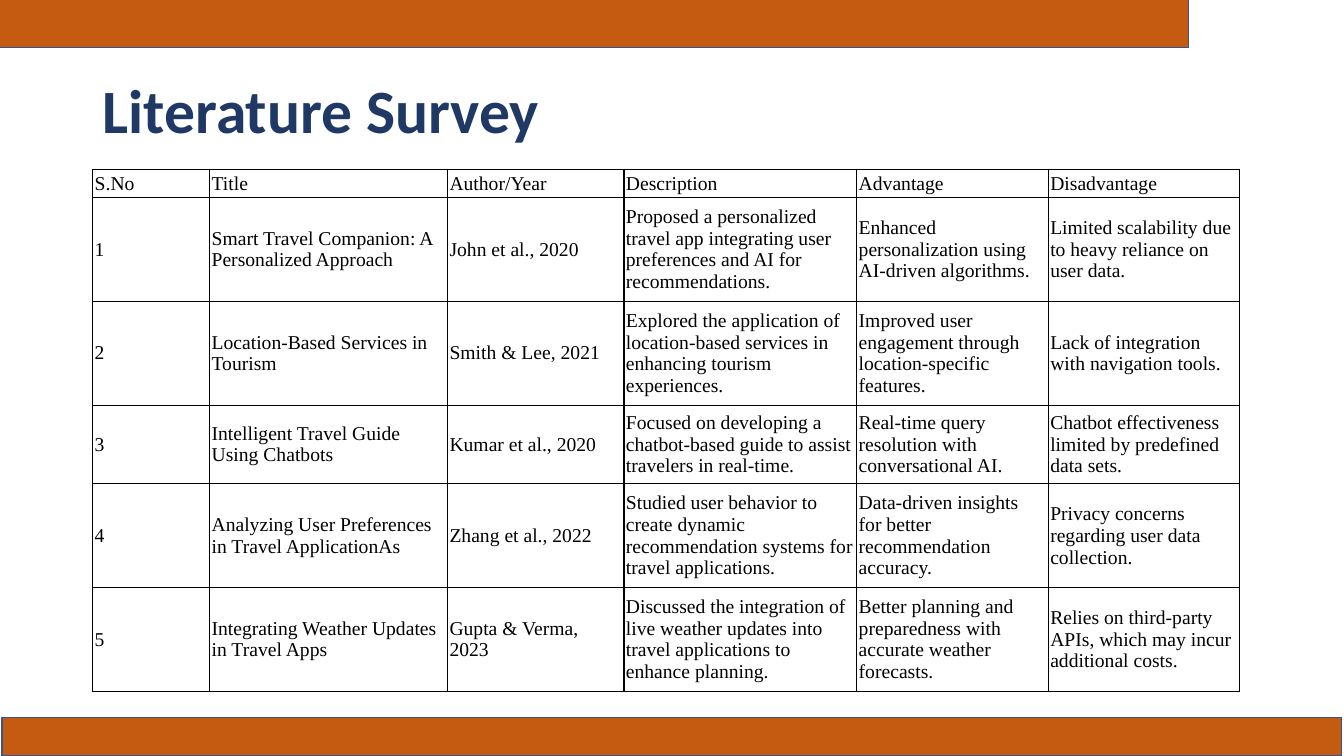
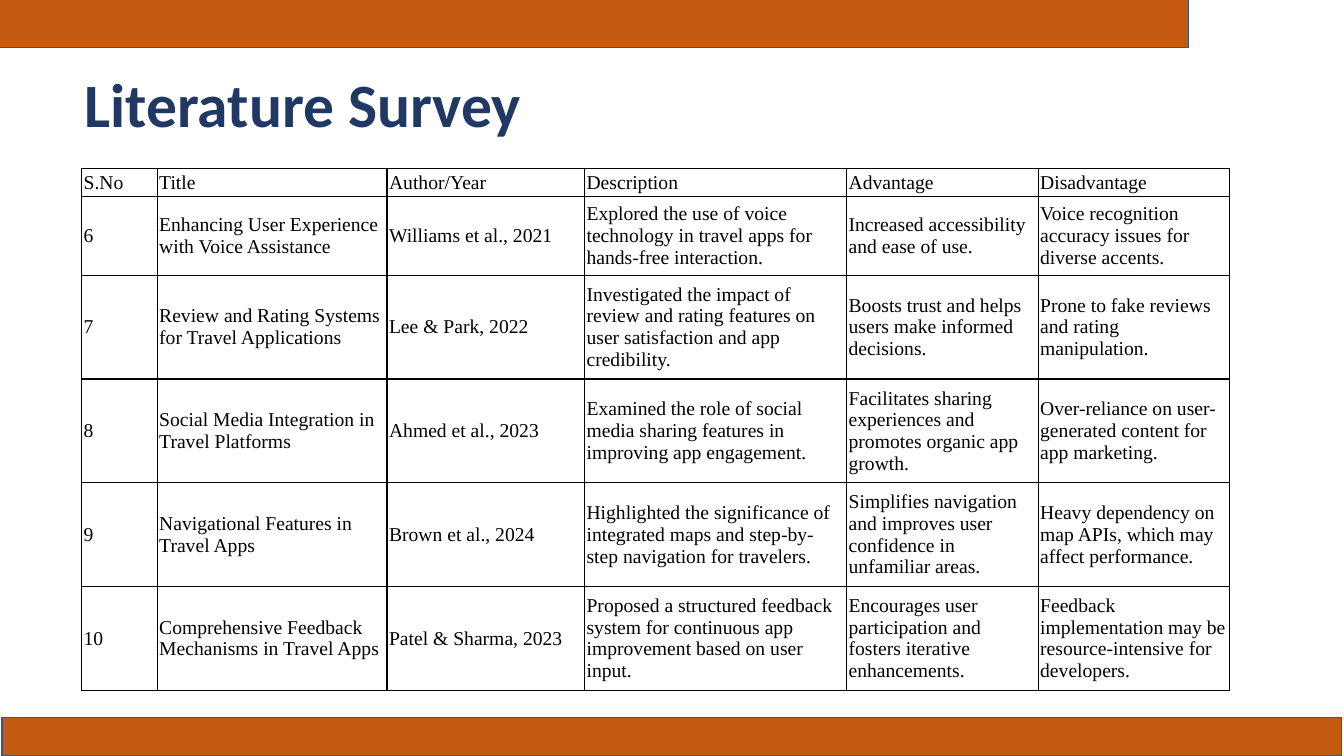
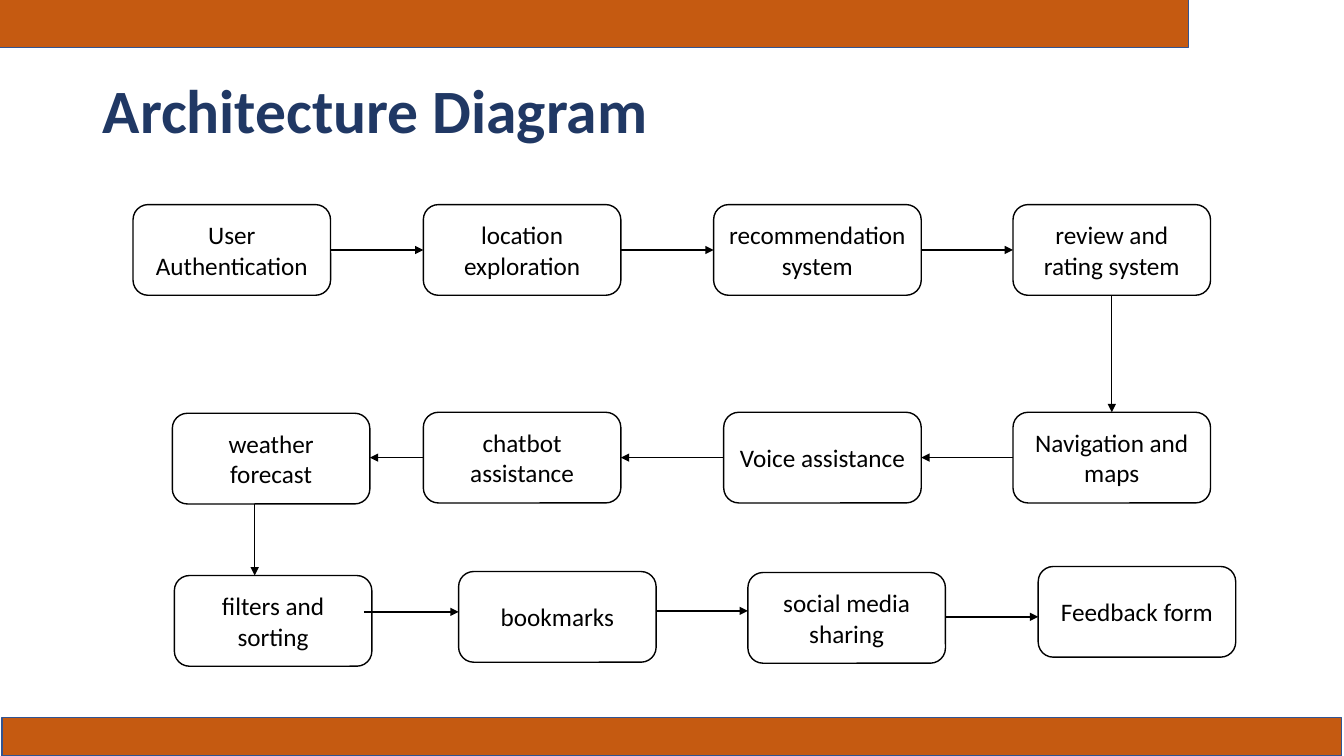
from dataclasses import dataclass

import lxml.etree
import pptx
import pptx.dml.color
import pptx.enum.shapes
import pptx.enum.text
import pptx.oxml
import pptx.oxml.ns
import pptx.util

RGBColor = pptx.dml.color.RGBColor
Pt = pptx.util.Pt
SHAPE = pptx.enum.shapes.MSO_SHAPE
ALIGN = pptx.enum.text.PP_ALIGN
MIDDLE = pptx.enum.text.MSO_ANCHOR.MIDDLE
qn = pptx.oxml.ns.qn

ORANGE = RGBColor(0xC5, 0x5A, 0x11)
BLUE = RGBColor(0x32, 0x54, 0x91)
NAVY = RGBColor(0x20, 0x38, 0x64)
BLACK = RGBColor(0, 0, 0)
WHITE = RGBColor(255, 255, 255)

COLS, ROWS = 40, 22.5
WIDE = pptx.util.Inches(COLS / 3)
HIGH = pptx.util.Inches(ROWS / 3)
SANS, SERIF = "Calibri", "Times New Roman"


def cell(count: float) -> int:
    return round(count * WIDE / COLS)


@dataclass(frozen=True)
class Area:
    left: float
    top: float
    width: float
    height: float

    def place(self) -> tuple[int, ...]:
        return tuple(map(cell, (self.left, self.top, self.width, self.height)))


@dataclass(frozen=True)
class Box:
    text: str
    left: float
    top: float
    width: float = 5.88
    height: float = 2.7

    @property
    def right(self) -> float:
        return self.left + self.width

    @property
    def base(self) -> float:
        return self.top + self.height


@dataclass(frozen=True)
class Link:
    start: int
    level: float
    inset: float = 0


@dataclass(frozen=True)
class Drop:
    start: int
    across: float


@dataclass(frozen=True)
class Survey:
    title: Area
    left: float
    top: float
    widths: tuple[float, ...]
    heights: tuple[float, ...]
    lines: tuple[tuple[str, ...], ...]


TITLE = Area(2.76, 1.2, 34.5, 4.35)
BANDS = (Area(-0.03, -0.03, 35.4, 1.44), Area(0.06, 21.36, 39.87, 1.14))
HEAD = ("S.No", "Title", "Author/Year", "Description", "Advantage", "Disadvantage")
THIN, MID, TALL = 0.84, 2.34, 3.09

SURVEYS = (
    Survey(
        TITLE, 2.76, 5.04,
        (3.48, 7.08, 5.25, 6.93, 5.7, 5.7),
        (THIN, TALL, TALL, MID, TALL, TALL),
        (
            ("1", "Smart Travel Companion: A Personalized Approach", "John et al., 2020",
             "Proposed a personalized travel app integrating user preferences and AI for recommendations.",
             "Enhanced personalization using AI-driven algorithms.",
             "Limited scalability due to heavy reliance on user data."),
            ("2", "Location-Based Services in Tourism", "Smith & Lee, 2021",
             "Explored the application of location-based services in enhancing tourism experiences.",
             "Improved user engagement through location-specific features.",
             "Lack of integration with navigation tools."),
            ("3", "Intelligent Travel Guide Using Chatbots", "Kumar et al., 2020",
             "Focused on developing a chatbot-based guide to assist travelers in real-time.",
             "Real-time query resolution with conversational AI.",
             "Chatbot effectiveness limited by predefined data sets."),
            ("4", "Analyzing User Preferences in Travel ApplicationAs", "Zhang et al., 2022",
             "Studied user behavior to create dynamic recommendation systems for travel applications.",
             "Data-driven insights for better recommendation accuracy.",
             "Privacy concerns regarding user data collection."),
            ("5", "Integrating Weather Updates in Travel Apps", "Gupta & Verma, 2023",
             "Discussed the integration of live weather updates into travel applications to enhance planning.",
             "Better planning and preparedness with accurate weather forecasts.",
             "Relies on third-party APIs, which may incur additional costs."),
        ),
    ),
    Survey(
        Area(2.22, 1.02, 34.5, 4.35), 2.43, 5.01,
        (2.25, 6.84, 5.88, 7.8, 5.7, 5.7),
        (THIN, MID, TALL, TALL, TALL, TALL),
        (
            ("6", "Enhancing User Experience with Voice Assistance", "Williams et al., 2021",
             "Explored the use of voice technology in travel apps for hands-free interaction.",
             "Increased accessibility and ease of use.",
             "Voice recognition accuracy issues for diverse accents."),
            ("7", "Review and Rating Systems for Travel Applications", "Lee & Park, 2022",
             "Investigated the impact of review and rating features on user satisfaction and app credibility.",
             "Boosts trust and helps users make informed decisions.",
             "Prone to fake reviews and rating manipulation."),
            ("8", "Social Media Integration in Travel Platforms", "Ahmed et al., 2023",
             "Examined the role of social media sharing features in improving app engagement.",
             "Facilitates sharing experiences and promotes organic app growth.",
             "Over-reliance on user-generated content for app marketing."),
            ("9", "Navigational Features in Travel Apps", "Brown et al., 2024",
             "Highlighted the significance of integrated maps and step-by-step navigation for travelers.",
             "Simplifies navigation and improves user confidence in unfamiliar areas.",
             "Heavy dependency on map APIs, which may affect performance."),
            ("10", "Comprehensive Feedback Mechanisms in Travel Apps", "Patel & Sharma, 2023",
             "Proposed a structured feedback system for continuous app improvement based on user input.",
             "Encourages user participation and fosters iterative enhancements.",
             "Feedback implementation may be resource-intensive for developers."),
        ),
    ),
)

BOXES = (
    Box("User Authentication", 3.96, 6.09),
    Box("location exploration", 12.6, 6.09),
    Box("recommendation system", 21.24, 6.09, 6.18),
    Box("review and rating system", 30.15, 6.09),
    Box("Navigation and maps", 30.15, 12.27),
    Box("Voice assistance", 21.54, 12.27),
    Box("chatbot assistance", 12.6, 12.27),
    Box("weather forecast", 5.13, 12.3),
    Box("filters and sorting", 5.19, 17.13),
    Box("bookmarks", 13.65, 17.01),
    Box("social media sharing", 22.26, 17.04),
    Box("Feedback form", 30.9, 16.86),
)
LINKS = (
    *(Link(start, 7.44) for start in range(3)),
    *(Link(start, 13.62) for start in range(4, 7)),
    Link(8, 18.21, 0.24),
    Link(9, 18.18),
    Link(10, 18.36),
)
DROPS = (Drop(3, 33.09), Drop(7, 7.58))


def style(text, size: int, face: str, color: RGBColor, align=ALIGN.LEFT, bold: bool = False) -> None:
    for para in text.paragraphs:
        para.alignment = align
        font = para.font
        font.size, font.name, font.bold = Pt(size), face, bold
        font.color.rgb = color


def add_form(slide, kind, area: Area | Box, fill: RGBColor, line: RGBColor):
    spot = map(cell, (area.left, area.top, area.width, area.height))
    form = slide.shapes.add_shape(kind, *spot)
    form.shadow.inherit = False
    form.fill.solid()
    form.fill.fore_color.rgb = fill
    form.line.color.rgb = line
    form.line.width = Pt(1)
    return form


def add_page(deck, name: str, area: Area):
    slide = deck.slides.add_slide(deck.slide_layouts[5])
    title = slide.shapes.title
    title.left, title.top, title.width, title.height = area.place()
    title.text_frame.text = name
    title.text_frame.vertical_anchor = MIDDLE
    style(title.text_frame, 44, SANS, NAVY, bold=True)
    title.text_frame.paragraphs[0].line_spacing = 0.9
    for band in BANDS:
        add_form(slide, SHAPE.RECTANGLE, band, ORANGE, BLUE)
    return slide


def add_edges(box) -> None:
    props = box._tc.get_or_add_tcPr()
    for index, side in enumerate(("lnL", "lnR", "lnT", "lnB")):
        edge = lxml.etree.Element(qn(f"a:{side}"), w=str(Pt(1)))
        fill = lxml.etree.SubElement(edge, qn("a:solidFill"))
        lxml.etree.SubElement(fill, qn("a:srgbClr"), val=str(BLACK))
        props.insert(index, edge)


def add_survey(deck, survey: Survey) -> None:
    slide = add_page(deck, "Literature Survey", survey.title)
    lines = (HEAD, *survey.lines)
    area = Area(survey.left, survey.top, sum(survey.widths), sum(survey.heights))
    table = slide.shapes.add_table(len(lines), len(HEAD), *area.place()).table
    table.first_row = table.horz_banding = False
    for column, width in zip(table.columns, survey.widths):
        column.width = cell(width)
    for row, height, words in zip(table.rows, survey.heights, lines):
        row.height = cell(height)
        for box, text in zip(row.cells, words):
            box.text = text
            box.fill.background()
            box.vertical_anchor = MIDDLE
            box.margin_left = box.margin_right = cell(0.06)
            box.margin_top = box.margin_bottom = cell(0.03)
            style(box.text_frame, 14, SERIF, BLACK)
            add_edges(box)


def add_arrow(slide, *ends: float) -> None:
    kind = pptx.enum.shapes.MSO_CONNECTOR.STRAIGHT
    arrow = slide.shapes.add_connector(kind, *map(cell, ends))
    arrow.line.color.rgb = BLACK
    arrow.line.width = Pt(1)
    lxml.etree.SubElement(arrow.line._get_or_add_ln(), qn("a:tailEnd"), type="triangle")
    lxml.etree.SubElement(arrow._element.spPr, qn("a:effectLst"))


def add_chain(deck) -> None:
    slide = add_page(deck, "Architecture Diagram", TITLE)
    for box in BOXES:
        form = add_form(slide, SHAPE.ROUNDED_RECTANGLE, box, WHITE, BLACK)
        form.text_frame.text = box.text
        form.text_frame.word_wrap = True
        form.text_frame.vertical_anchor = MIDDLE
        style(form.text_frame, 18, SANS, BLACK, ALIGN.CENTER)
    for link in LINKS:
        here, there = BOXES[link.start:link.start + 2]
        ahead = there.left > here.left
        start = here.right - link.inset if ahead else here.left
        end = there.left if ahead else there.right
        add_arrow(slide, start, link.level, end, link.level)
    for drop in DROPS:
        here, there = BOXES[drop.start:drop.start + 2]
        add_arrow(slide, drop.across, here.base, drop.across, there.top)


def main() -> None:
    deck = pptx.Presentation()
    deck.slide_width, deck.slide_height = WIDE, HIGH
    for survey in SURVEYS:
        add_survey(deck, survey)
    add_chain(deck)
    deck.save("out.pptx")


if __name__ == "__main__":
    main()
